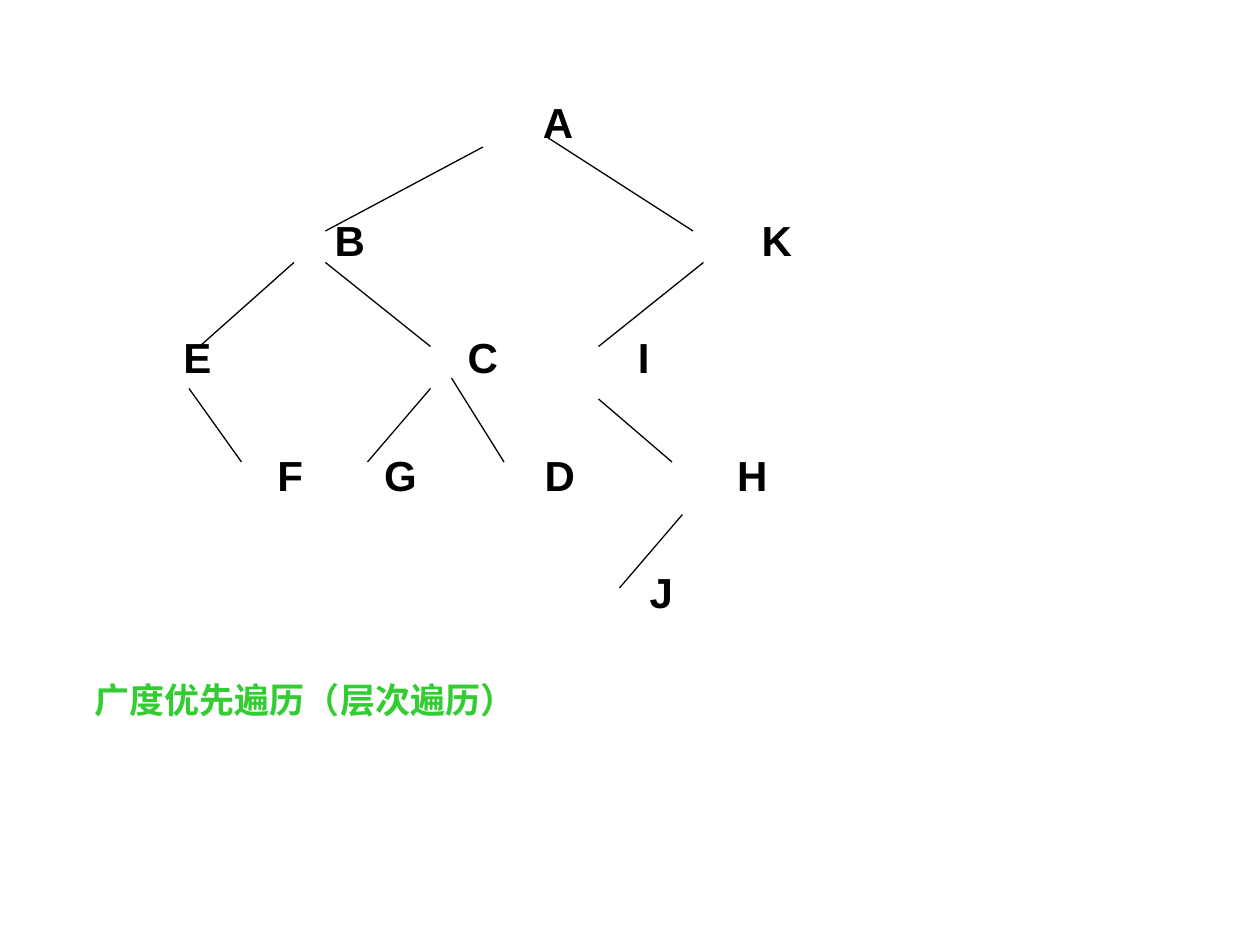
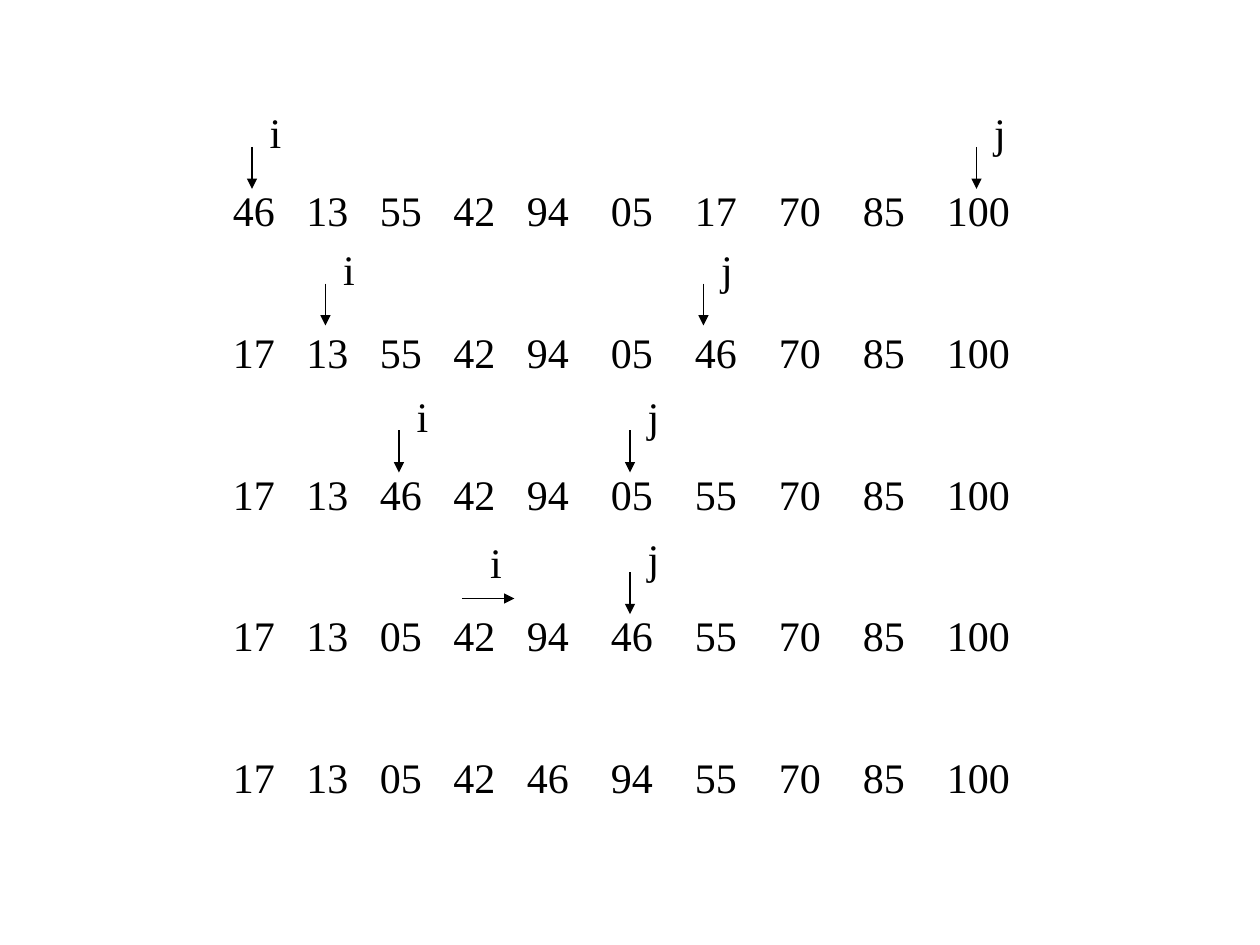
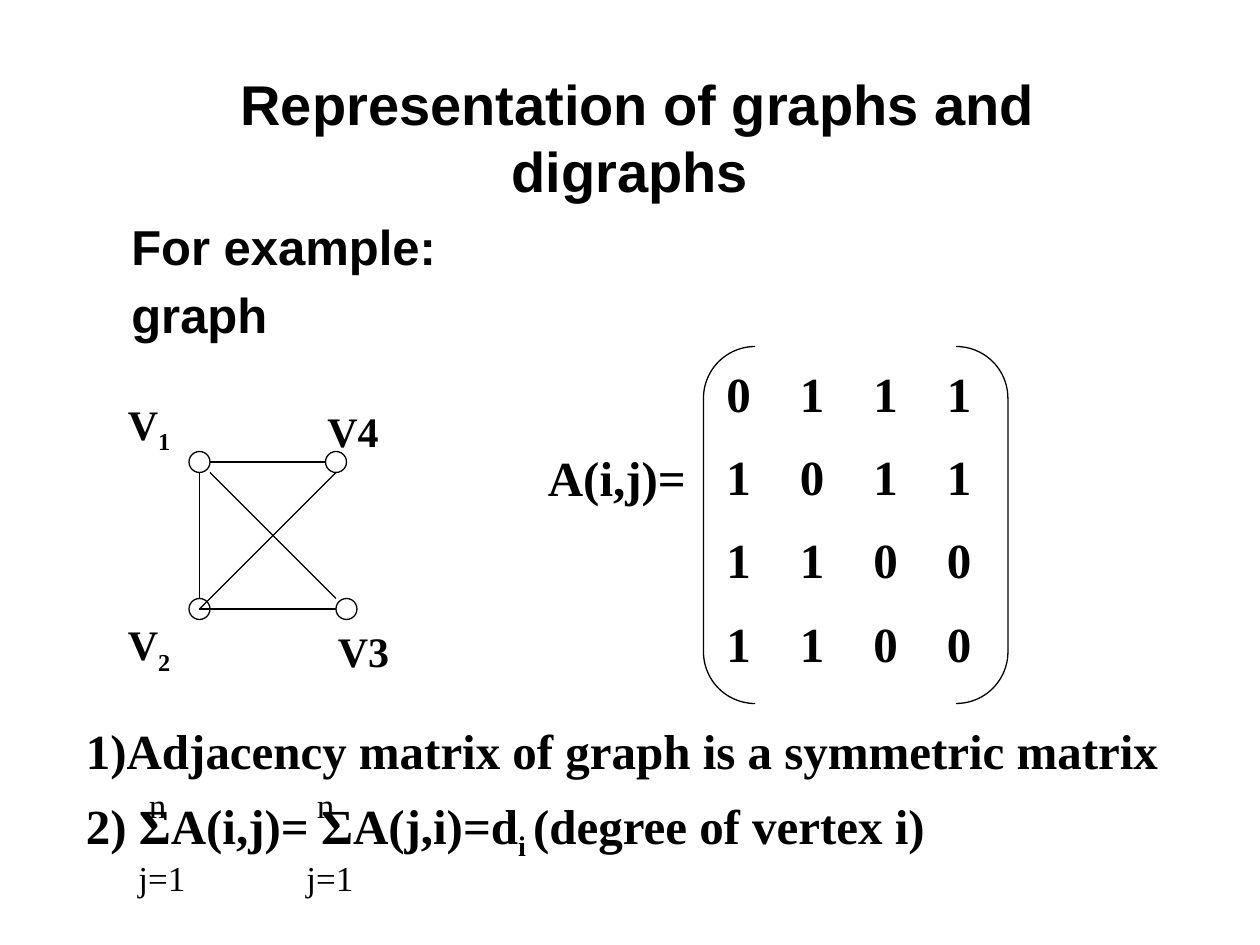
"""Build three slides on trees, partitioning and graphs."""
from dataclasses import dataclass
from typing import NamedTuple, Sequence

from lxml import etree
from pptx import Presentation
from pptx.dml.color import RGBColor
from pptx.enum.shapes import MSO_CONNECTOR, MSO_SHAPE
from pptx.enum.text import MSO_ANCHOR, MSO_AUTO_SIZE, PP_ALIGN
from pptx.oxml.ns import qn
from pptx.util import Pt

STRAIGHT = MSO_CONNECTOR.STRAIGHT
OVAL = MSO_SHAPE.OVAL
BRACKET = MSO_SHAPE.DOUBLE_BRACKET
TOP, MIDDLE = MSO_ANCHOR.TOP, MSO_ANCHOR.MIDDLE
LEFT, CENTER = PP_ALIGN.LEFT, PP_ALIGN.CENTER
FIXED = MSO_AUTO_SIZE.NONE

BLACK, GREEN = "000000", "33CC33"
SANS, SERIF = "Arial", "Times New Roman"
PAD_X, PAD_Y = 7.2, 3.6
LEAD = 1.2
STROKE = 0.75
TITLE_ONLY, BLANK = 5, 6


class Box(NamedTuple):
    """Hold a frame in points."""
    left: float
    top: float
    width: float
    height: float


class Edge(NamedTuple):
    """Hold the two ends of a line in points."""
    x1: float
    y1: float
    x2: float
    y2: float


class Node(NamedTuple):
    """Hold a tree node and its centre."""
    name: str
    x: float


@dataclass(frozen=True)
class Mark:
    """Hold an index label and its arrow."""
    name: str
    left: float
    top: float
    edge: Edge


@dataclass(frozen=True)
class Label:
    """Hold a short text and its frame."""
    text: str
    box: Box


LEVELS = [
    [Node("A", 319)],
    [Node("B", 200), Node("K", 444)],
    [Node("E", 113), Node("C", 276), Node("I", 368)],
    [Node("F", 166), Node("G", 229), Node("D", 320), Node("H", 430)],
    [Node("J", 378)],
]
BRANCHES = [
    Edge(276, 84, 186, 132), Edge(168, 150, 114, 198),
    Edge(186, 150, 246, 198), Edge(108, 222, 138, 264),
    Edge(246, 222, 210, 264), Edge(258, 216, 288, 264),
    Edge(312, 78, 396, 132), Edge(402, 150, 342, 198),
    Edge(342, 228, 384, 264), Edge(390, 294, 354, 336),
]
STEPS = [
    "46 13 55 42 94 05 17 70 85 100",
    "17 13 55 42 94 05 46 70 85 100",
    "17 13 46 42 94 05 55 70 85 100",
    "17 13 05 42 94 46 55 70 85 100",
    "17 13 05 42 46 94 55 70 85 100",
]
STOPS = [*range(42, 169, 42), *range(216, 409, 48)]
DOWNS = [
    ("i", 144, 84), ("j", 558, 84), ("i", 186, 162), ("j", 402, 162),
    ("i", 228, 246), ("j", 360, 246), ("j", 360, 327),
]
MARKS = [Mark(name, x + 3, y - 26.4, Edge(x, y, x, y + 24))
         for name, x, y in DOWNS]
MARKS.append(Mark("i", 273, 303, Edge(264, 342, 294, 342)))

DOTS = [(108, 258), (108, 342), (192, 342), (186, 258)]
LINKS = [
    Edge(120, 264, 186, 264), Edge(114, 270, 114, 342),
    Edge(120, 270, 192, 342), Edge(192, 270, 114, 348),
    Edge(114, 348, 192, 348),
]
CORNERS = [
    Label("V|1", Box(66, 228, 42, 36)), Label("V|2", Box(66, 354, 60, 36)),
    Label("V3", Box(186, 354, 66, 36)), Label("V4", Box(180, 228, 90, 36)),
]
MATRIX = ["0111", "1011", "1100", "1100"]
FACTS = [
    "1)Adjacency matrix of graph is a symmetric matrix",
    "2) ΣA(i,j)= ΣA(j,i)=d|i |(degree of vertex i)",
]


def paint(code: str) -> RGBColor:
    """Turn a hex string into a colour."""
    return RGBColor.from_string(code)


def add_tabs(para, stops: Sequence[float], kind: str) -> None:
    """Give a paragraph its tab stops."""
    group = etree.SubElement(para._p.get_or_add_pPr(), qn("a:tabLst"))
    for stop in stops:
        etree.SubElement(group, qn("a:tab"), pos=str(Pt(stop)), algn=kind)


def write(frame, lines: Sequence[str], *, size: float = 24, font: str = SERIF,
          color: str = BLACK, bold: bool = False, gap: float = 0,
          align=LEFT, anchor=TOP, tabs: Sequence[Sequence[float]] = (),
          kind: str = "l") -> None:
    """Write paragraphs in which bars switch subscript on and off."""
    frame.word_wrap = True
    frame.auto_size = FIXED
    frame.vertical_anchor = anchor
    frame.margin_left = frame.margin_right = Pt(PAD_X)
    frame.margin_top = frame.margin_bottom = Pt(PAD_Y)
    for row, line in enumerate(lines):
        para = frame.add_paragraph() if row else frame.paragraphs[0]
        if tabs:
            add_tabs(para, tabs[row], kind)
        para.alignment = align
        para.line_spacing = Pt(size * LEAD)
        para.space_before = Pt(gap if row else 0)
        for turn, part in enumerate(line.split("|")):
            run = para.add_run()
            run.text = part
            run.font.name, run.font.size = font, Pt(size)
            run.font.bold = bold
            run.font.color.rgb = paint(color)
            if turn % 2:
                run.font._element.set("baseline", "-25000")


def add_text(slide, box: Box, *lines: str, **style) -> None:
    """Add a text box."""
    shape = slide.shapes.add_textbox(*map(Pt, box))
    write(shape.text_frame, lines, **style)


def add_line(slide, edge: Edge, arrow: bool = False) -> None:
    """Add a thin line, with an arrowhead if asked."""
    link = slide.shapes.add_connector(STRAIGHT, *map(Pt, edge))
    link.line.color.rgb = paint(BLACK)
    link.line.width = Pt(STROKE)
    etree.SubElement(link._element.spPr, qn("a:effectLst"))
    if arrow:
        etree.SubElement(link.line._get_or_add_ln(), qn("a:tailEnd"),
                         type="triangle")


def add_form(slide, kind, box: Box):
    """Add an outlined shape without fill."""
    shape = slide.shapes.add_shape(kind, *map(Pt, box))
    shape.shadow.inherit = False
    shape.fill.background()
    shape.line.color.rgb = paint(BLACK)
    shape.line.width = Pt(STROKE)
    return shape


def draw_tree(slide) -> None:
    """Draw the binary tree and its caption."""
    box = Box(18, 51.6, 684, 470.4)
    lines = ["".join("\t" + node.name for node in level) for level in LEVELS]
    tabs = [[node.x - box.left - PAD_X for node in level] for level in LEVELS]
    add_text(slide, box, *lines, font=SANS, bold=True, gap=38.4,
             tabs=tabs, kind="ctr")
    for edge in BRANCHES:
        add_line(slide, edge)
    add_text(slide, Box(47, 384, 589, 32), "广度优先遍历（层次遍历）",
             size=20, color=GREEN, bold=True)


def draw_steps(slide) -> None:
    """Draw the rows of numbers and the moving indexes."""
    for row, step in enumerate(STEPS):
        add_text(slide, Box(126, 102 + 81 * row, 459, 36),
                 step.replace(" ", "\t"), tabs=[STOPS])
    for mark in MARKS:
        add_text(slide, Box(mark.left, mark.top, 22, 36), mark.name)
        add_line(slide, mark.edge, arrow=True)


def draw_graph(slide) -> None:
    """Draw the graph, its matrix and the two facts."""
    title = slide.shapes.title
    title.left, title.top, title.width, title.height = map(
        Pt, Box(54, 48, 612, 60))
    write(title.text_frame, [" Representation of graphs and digraphs"],
          size=32, font=SANS, bold=True, align=CENTER, anchor=MIDDLE)
    add_text(slide, Box(68, 120, 598, 323), "For example:", "graph",
             size=28, font=SANS, bold=True, gap=5.6)
    for x, y in DOTS:
        add_form(slide, OVAL, Box(x, y, 12, 12))
    for edge in LINKS:
        add_line(slide, edge)
    for label in CORNERS:
        add_text(slide, label.box, label.text, bold=True)
    strong = {"size": 28, "bold": True, "gap": 14}
    add_text(slide, Box(306, 252, 120, 41), "A(i,j)=", **strong)
    add_form(slide, BRACKET, Box(402, 198, 174, 204)).adjustments[0] = 0.17
    add_text(slide, Box(408, 204, 180, 192), *map("\t".join, MATRIX),
             tabs=[range(42, 127, 42)] * len(MATRIX), **strong)
    add_text(slide, Box(42, 408, 654, 92), *FACTS, **strong)
    for left in (72, 168):
        add_text(slide, Box(left + 6, 444, 30, 31), "n", size=20)
        add_text(slide, Box(left, 486, 54, 31), "j=1", size=20)


def main() -> None:
    """Build and save the slides."""
    deck = Presentation()
    deck.slide_width, deck.slide_height = Pt(720), Pt(540)
    for draw, layout in ((draw_tree, BLANK), (draw_steps, BLANK),
                         (draw_graph, TITLE_ONLY)):
        draw(deck.slides.add_slide(deck.slide_layouts[layout]))
    deck.save("out.pptx")


if __name__ == "__main__":
    main()
